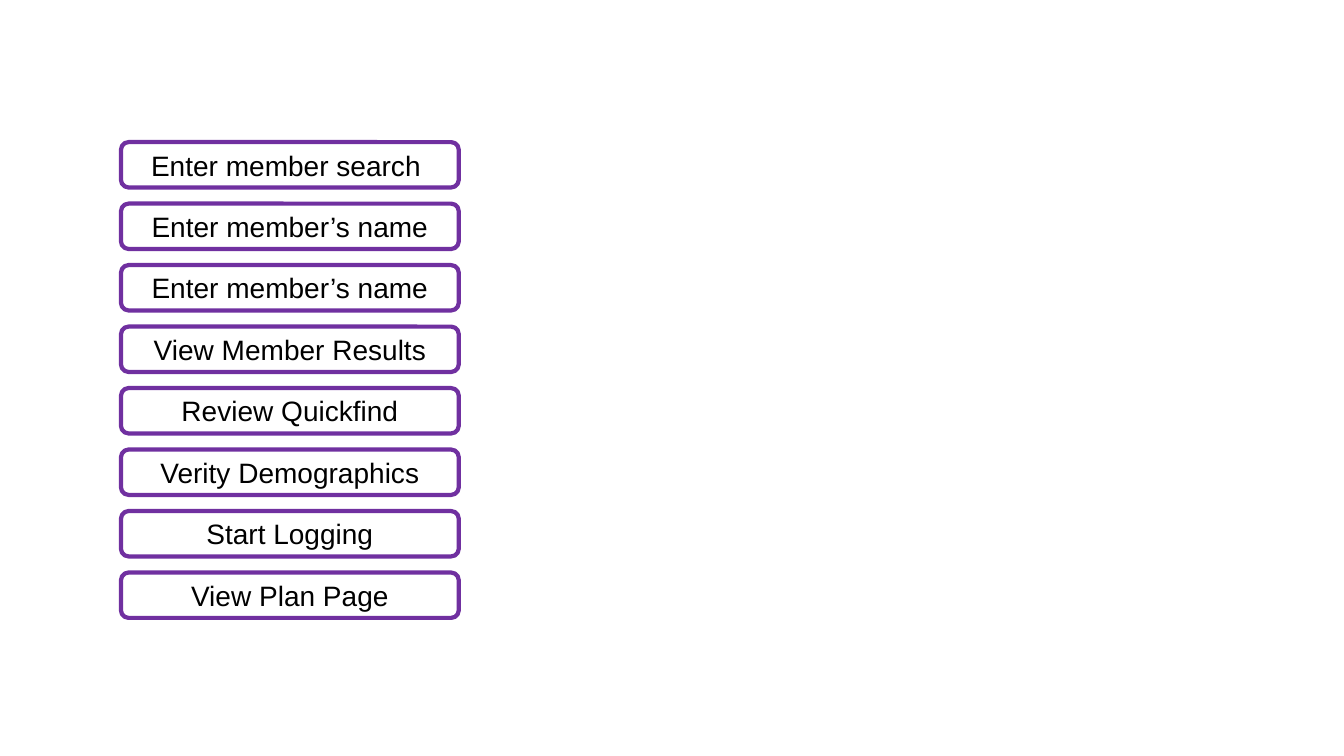
from dataclasses import dataclass

from pptx import Presentation
from pptx.dml.color import RGBColor
from pptx.enum.shapes import MSO_SHAPE
from pptx.enum.text import MSO_ANCHOR, PP_ALIGN
from pptx.util import Inches, Pt

ROUNDED = MSO_SHAPE.ROUNDED_RECTANGLE
MIDDLE = MSO_ANCHOR.MIDDLE
CENTER = PP_ALIGN.CENTER

SLIDE_WIDTH, SLIDE_HEIGHT = 13.33, 7.5
BLANK_LAYOUT = 6

STEPS = (
    "Enter member search ",
    "Enter member’s name",
    "Enter member’s name",
    "View Member Results",
    "Review Quickfind",
    "Verity Demographics",
    "Start Logging",
    "View Plan Page",
)


@dataclass(frozen=True)
class Theme:
    font: str = "Arial"
    step_size: float = 20
    outline_width: float = 3
    text: RGBColor = RGBColor(0x00, 0x00, 0x00)
    fill: RGBColor = RGBColor(0xFF, 0xFF, 0xFF)
    outline: RGBColor = RGBColor(0x70, 0x30, 0xA0)


@dataclass(frozen=True)
class StepGrid:
    """One column of equal rows, in inches."""
    left: float = 1.2
    top: float = 1.41
    width: float = 3.35
    height: float = 0.45
    gap: float = 0.16

    def row_top(self, row):
        return self.top + row * (self.height + self.gap)


class SlideBuilder:
    def __init__(self, slide, theme, grid):
        self.slide = slide
        self.theme = theme
        self.grid = grid

    def step(self, row, text):
        grid, theme = self.grid, self.theme
        box = self.slide.shapes.add_shape(
            ROUNDED,
            Inches(grid.left), Inches(grid.row_top(row)),
            Inches(grid.width), Inches(grid.height),
        )
        box.shadow.inherit = False
        box.fill.solid()
        box.fill.fore_color.rgb = theme.fill
        box.line.color.rgb = theme.outline
        box.line.width = Pt(theme.outline_width)
        box.text_frame.word_wrap = True
        box.text_frame.vertical_anchor = MIDDLE
        para = box.text_frame.paragraphs[0]
        para.alignment = CENTER
        self.span(para, text)

    def span(self, para, text):
        span = para.add_run()
        span.text = text
        span.font.name = self.theme.font
        span.font.size = Pt(self.theme.step_size)
        span.font.color.rgb = self.theme.text


def main():
    deck = Presentation()
    deck.slide_width = Inches(SLIDE_WIDTH)
    deck.slide_height = Inches(SLIDE_HEIGHT)
    slide = deck.slides.add_slide(deck.slide_layouts[BLANK_LAYOUT])
    builder = SlideBuilder(slide, Theme(), StepGrid())
    for row, text in enumerate(STEPS):
        builder.step(row, text)
    deck.save("out.pptx")


if __name__ == "__main__":
    main()
